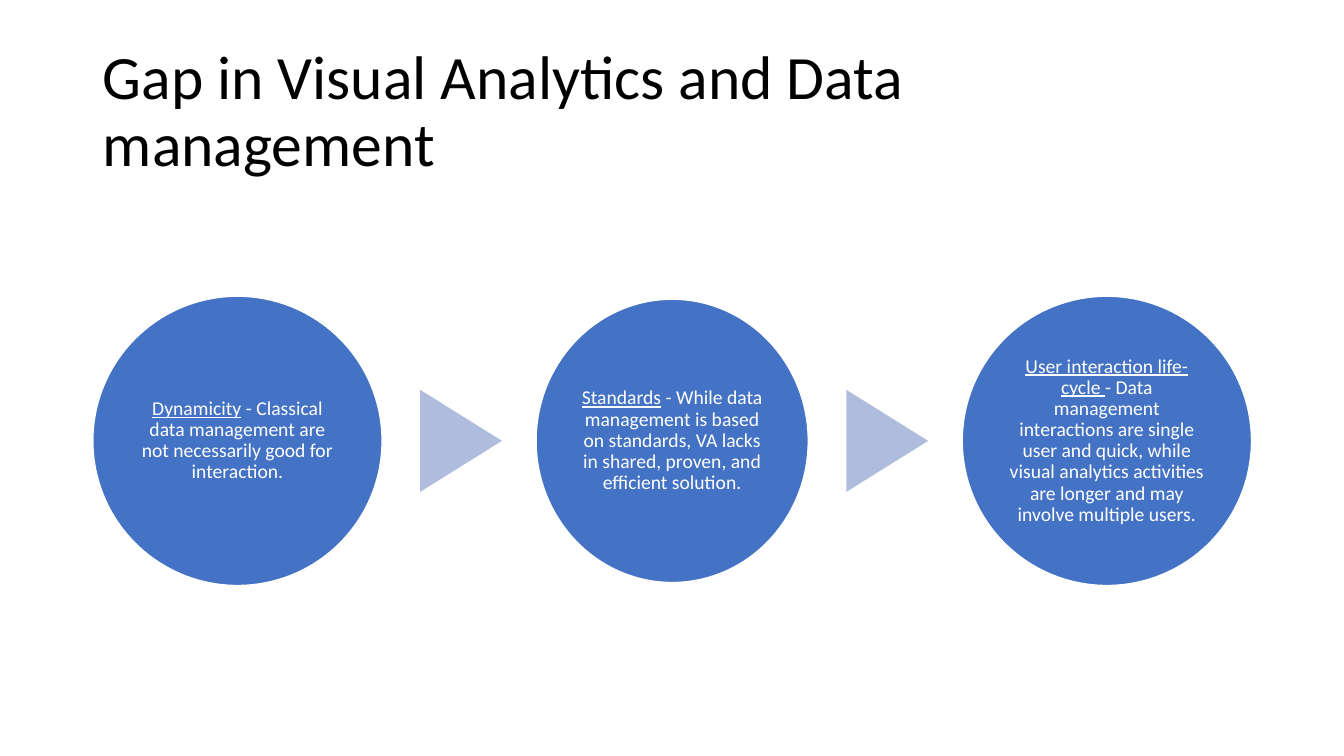
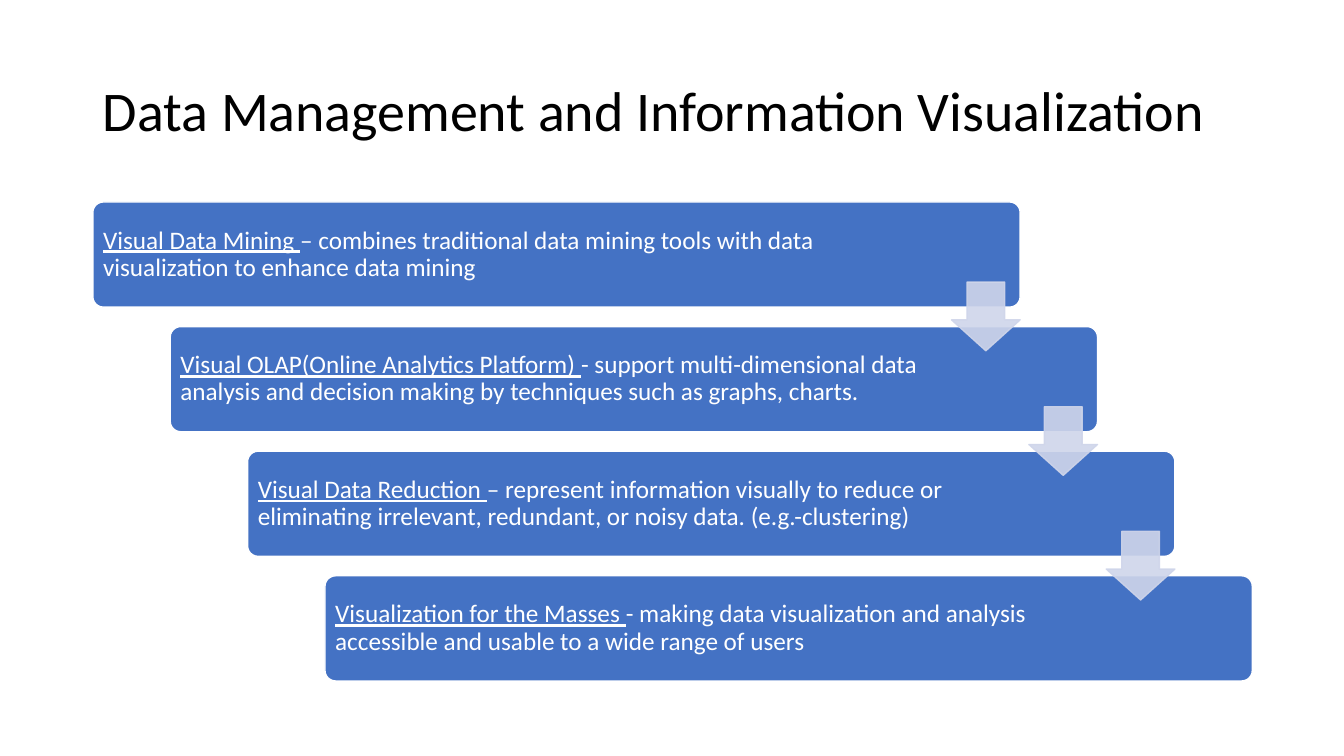
from pptx import Presentation
from pptx.dml.color import RGBColor
from pptx.enum.dml import MSO_FILL
from pptx.enum.shapes import MSO_SHAPE
from pptx.enum.text import MSO_ANCHOR, MSO_AUTO_SIZE, PP_ALIGN
from pptx.oxml.ns import qn
from pptx.util import Cm, Pt
from dataclasses import dataclass
from lxml.etree import SubElement

# Content: (underlined lead, rest)
GAPS = {
    "title": "Gap in Visual Analytics and Data management",
    "items": [
        ("Dynamicity", " - Classical data management are not necessarily "
         "good for interaction."),
        ("Standards", " - While data management is based on standards, VA "
         "lacks in shared, proven, and efficient solution."),
        ("User interaction life-cycle ", "- Data management interactions are "
         "single user and quick, while visual analytics activities are "
         "longer and may involve multiple users."),
    ],
}
FIELDS = {
    "title": "Data Management and Information Visualization",
    "items": [
        ("Visual Data Mining ", "– combines traditional data mining tools "
         "with data visualization to enhance data mining"),
        ("Visual OLAP(Online Analytics Platform) ", "- support "
         "multi-dimensional data analysis and decision making by techniques "
         "such as graphs, charts."),
        ("Visual Data Reduction ", "– represent information visually to "
         "reduce or eliminating irrelevant, redundant, or noisy data. "
         "(e.g.-clustering)"),
        ("Visualization for the Masses ", "- making data visualization and "
         "analysis accessible and usable to a wide range of users"),
    ],
}


@dataclass(frozen=True)
class Theme:
    font: str = "Calibri"
    ink: str = "000000"
    paper: str = "FFFFFF"
    blue: str = "4472C4"
    wedge: str = "B0BCDE"
    arrow: str = "CFD5EA"
    alpha: int = 90
    title: int = 44
    small: int = 40
    disc: int = 14
    bar: int = 18
    lead: float = 0.9


THEME = Theme()
LEFT = 2.34  # shared left edge, cm

FRAME = {"word_wrap": True, "auto_size": MSO_AUTO_SIZE.NONE,
         "vertical_anchor": MSO_ANCHOR.MIDDLE}
DISC = {"margin_left": Cm(0.05), "margin_right": Cm(0.05),
        "margin_top": Cm(0.05), "margin_bottom": Cm(0.05)}
BAR = {"margin_left": Cm(0.18), "margin_right": Cm(3.86),
       "margin_top": Cm(0.18), "margin_bottom": Cm(0.18)}


def apply(item, form):
    for name, value in form.items():
        setattr(item, name, value)


def write(frame, runs, size, color, align, form):
    """Fill a frame with one paragraph of (text, underline) runs."""
    apply(frame, FRAME | form)
    para = frame.paragraphs[0]
    apply(para, {"alignment": align, "line_spacing": THEME.lead})
    for text, under in runs:
        run = para.add_run()
        run.text = text
        apply(run.font, {"name": THEME.font, "size": Pt(size),
                         "underline": under})
        run.font.color.rgb = RGBColor.from_string(color)


def start(deck, title, size):
    """Add a slide with its title placed and styled."""
    slide = deck.slides.add_slide(deck.slide_layouts[5])
    head = slide.shapes.title
    apply(head, {"left": Cm(LEFT), "top": Cm(1.01),
                 "width": Cm(29.21), "height": Cm(3.68)})
    write(head.text_frame, [(title, False)], size, THEME.ink,
          PP_ALIGN.LEFT, {})
    return slide


def draw(slide, kind, box, fill, line=None, adjust=()):
    """Add a flat preset shape; box is left, top, width, height in cm."""
    shape = slide.shapes.add_shape(kind, *map(Cm, box))
    shape.shadow.inherit = False
    shape.fill.solid()
    shape.fill.fore_color.rgb = RGBColor.from_string(fill)
    if line:
        shape.line.color.rgb = RGBColor.from_string(line)
        shape.line.width = Pt(1)
    else:
        shape.line.fill.background()
    for i, value in enumerate(adjust):
        shape.adjustments[i] = value
    return shape


def fade(shape):
    """Make fill and line slightly transparent."""
    for color in shape._element.spPr.iter(qn("a:srgbClr")):
        SubElement(color, qn("a:alpha"), val=str(THEME.alpha * 1000))


def label(shape, item, size, align, form):
    lead, rest = item
    write(shape.text_frame, [(lead, True), (rest, False)], size,
          THEME.paper, align, form)


def chain(deck):
    """Circles in a row with a wedge in each gap."""
    slide = start(deck, GAPS["title"], THEME.title)
    sizes = [(7.29, 7.29), (6.86, 7.14), (7.29, 7.29)]
    mid, gap, shift = 11.11, 3.88, 1.99
    base, rise = 2.57, 2.06
    x = LEFT
    for i, (item, (wide, high)) in enumerate(zip(GAPS["items"], sizes)):
        if i:
            box = (x - gap + shift - base / 2, mid - rise / 2, base, rise)
            wedge = draw(slide, MSO_SHAPE.ISOSCELES_TRIANGLE, box,
                         THEME.wedge)
            wedge.rotation = 90
        disc = draw(slide, MSO_SHAPE.OVAL, (x, mid - high / 2, wide, high),
                    THEME.blue, THEME.paper)
        label(disc, item, THEME.disc, PP_ALIGN.CENTER, DISC)
        x += wide + gap


def stairs(deck):
    """Bars stepping down to the right, joined by arrows."""
    slide = start(deck, FIELDS["title"], THEME.small)
    top, wide, high = 5.09, 23.37, 2.65
    across, down = 1.95, 3.14
    side, drop = 1.73, 2.02
    spots = [(LEFT + i * across, top + i * down)
             for i in range(len(FIELDS["items"]))]
    for item, (x, y) in zip(FIELDS["items"], spots):
        bar = draw(slide, MSO_SHAPE.ROUNDED_RECTANGLE, (x, y, wide, high),
                   THEME.blue, THEME.paper, [0.1])
        label(bar, item, THEME.bar, PP_ALIGN.LEFT, BAR)
    # Arrows lie over the bars, flush with the right edge of the upper one
    for x, y in spots[:-1]:
        fade(draw(slide, MSO_SHAPE.DOWN_ARROW,
                  (x + wide - side, y + drop, side, side),
                  THEME.arrow, THEME.arrow, [0.55, 0.45]))


def main():
    deck = Presentation()
    apply(deck, {"slide_width": Cm(33.87), "slide_height": Cm(19.05)})
    chain(deck)
    stairs(deck)
    deck.save("out.pptx")


if __name__ == "__main__":
    main()
